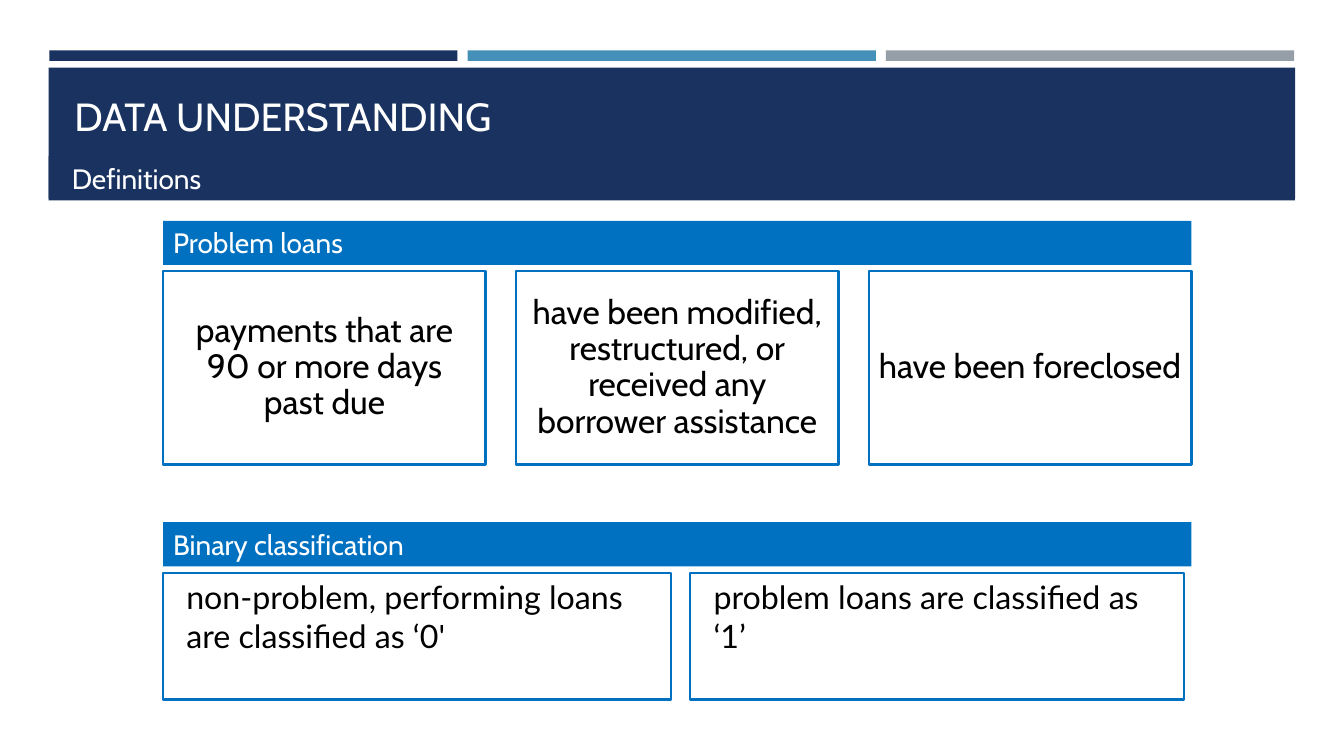
"""Build the data understanding slide with loan definitions."""
import pptx
import pptx.dml.color
import pptx.enum.shapes
import pptx.enum.text
import pptx.util

Pt = pptx.util.Pt
ALIGN = pptx.enum.text.PP_ALIGN
ANCHOR = pptx.enum.text.MSO_ANCHOR

NAVY, BLUE, GREY = "1A3260", "4590B8", "969FA7"
ACCENT, WHITE, BLACK = "0070C0", "FFFFFF", "000000"
LEFT = 116.6
INDENT = 9.4


def color(value):
    """Turn a hex string into a colour."""
    return pptx.dml.color.RGBColor.from_string(value)


def add_box(slide, left, top, width, height, fill=None, line=None, line_width=1.5):
    """Add a rectangle with an optional fill and outline."""
    box = slide.shapes.add_shape(
        pptx.enum.shapes.MSO_SHAPE.RECTANGLE, Pt(left), Pt(top), Pt(width), Pt(height))
    box.shadow.inherit = False
    if fill:
        box.fill.solid()
        box.fill.fore_color.rgb = color(fill)
    else:
        box.fill.background()
    if line:
        box.line.color.rgb = color(line)
        box.line.width = Pt(line_width)
    else:
        box.line.fill.background()
    return box


def write_text(box, text, size, text_color, font="Cabin", align=ALIGN.LEFT,
               anchor=ANCHOR.TOP, indent=0):
    """Write one formatted paragraph into a shape."""
    frame = box.text_frame
    frame.word_wrap = True
    frame.auto_size = pptx.enum.text.MSO_AUTO_SIZE.NONE
    frame.vertical_anchor = anchor
    para = frame.paragraphs[0]
    para.text = text
    para.alignment = align
    if indent:
        para._p.get_or_add_pPr().set("marL", str(Pt(indent)))
    para.font.name = font
    para.font.size = Pt(size)
    para.font.color.rgb = color(text_color)
    return para


def add_header(slide):
    """Add the top stripes, the title band and the subtitle."""
    for column, fill in enumerate((NAVY, BLUE, GREY)):
        add_box(slide, 35.2 + 298.8 * column, 36, 291.6, 7.5, fill)
    add_box(slide, 34.8, 48.4, 890.4, 93.6, NAVY)
    title = slide.shapes.title
    title.left, title.top, title.width, title.height = Pt(46), Pt(55.4), Pt(868), Pt(55)
    write_text(title, "DATA UNDERSTANDING", 28, WHITE, anchor=ANCHOR.MIDDLE)
    slide.shapes._spTree.append(title._element)
    subtitle = add_box(slide, 34.8, 111.6, 890.2, 31.5, NAVY)
    write_text(subtitle, "Definitions", 20, WHITE, indent=INDENT)


def add_section_bar(slide, top, text):
    """Add a blue heading bar."""
    bar = add_box(slide, LEFT, top, 734.4, 31.5, ACCENT)
    write_text(bar, text, 20, WHITE)


def add_condition(slide, column, text):
    """Add one centred card that describes a problem loan."""
    card = add_box(slide, LEFT + 252 * column, 193.6, 230.4, 138.2, line=ACCENT, line_width=1.75)
    para = write_text(card, text, 24, BLACK, align=ALIGN.CENTER, anchor=ANCHOR.MIDDLE)
    para.line_spacing = 0.9


def add_class(slide, left, width, text):
    """Add one outlined box that describes a class label."""
    box = add_box(slide, left, 409, width, 90.7, line=ACCENT)
    write_text(box, text, 23, BLACK, font="Lato", indent=INDENT)


def main():
    """Build and save the deck."""
    deck = pptx.Presentation()
    deck.slide_width, deck.slide_height = Pt(960), Pt(540)
    slide = deck.slides.add_slide(deck.slide_layouts[5])
    add_header(slide)
    add_section_bar(slide, 157.7, "Problem loans")
    conditions = (
        "payments that are 90 or more days past due",
        "have been modified, restructured, or received any borrower assistance",
        "have been foreclosed",
    )
    for column, text in enumerate(conditions):
        add_condition(slide, column, text)
    add_section_bar(slide, 373, "Binary classification")
    add_class(slide, LEFT, 363, "non-problem, performing loans are classified as ‘0'")
    add_class(slide, 493.2, 352.8, "problem loans are classified as ‘1’")
    deck.save("out.pptx")


if __name__ == "__main__":
    main()
